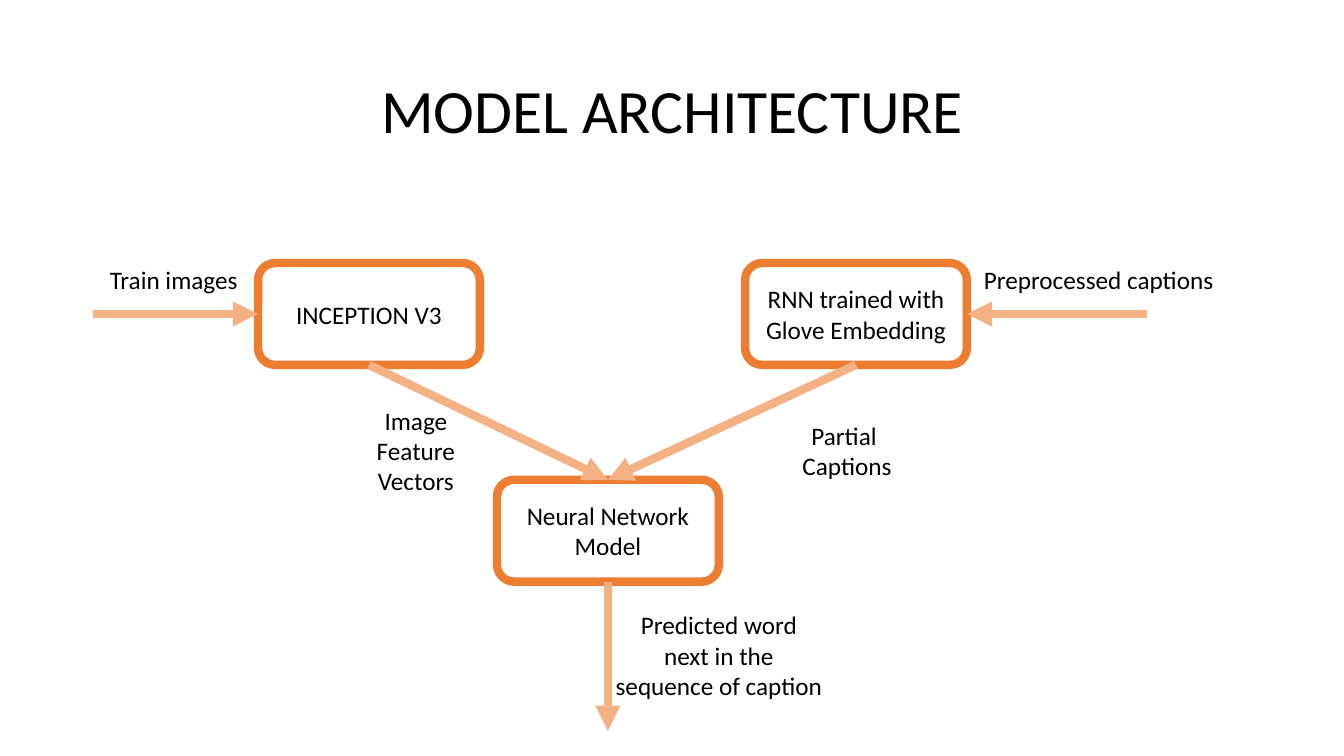
"""Build the model architecture slide: two encoders feeding a neural network."""
from dataclasses import dataclass

from pptx import Presentation
from pptx.dml.color import RGBColor
from pptx.enum.shapes import MSO_CONNECTOR, MSO_SHAPE
from pptx.enum.text import MSO_ANCHOR, MSO_AUTO_SIZE, PP_ALIGN
from pptx.oxml.ns import qn
from pptx.util import Inches, Pt
from lxml.etree import SubElement

WIDTH, HEIGHT = Inches(13.33), Inches(7.5)
NODE_WIDTH, NODE_HEIGHT = 16.5, 13.47
ENCODER_TOP, NETWORK_TOP = 34.8, 63.47
INPUT_LABEL_TOP, LINE_HEIGHT, LABEL_PADDING = 34.27, 4.07, 1.26
TOP, LEFT, BOTTOM, RIGHT = range(4)


@dataclass(frozen=True)
class Theme:
    font: str = "Calibri"
    title_size: Pt = Pt(44)
    body_size: Pt = Pt(18)
    stroke: Pt = Pt(6)
    ink: RGBColor = RGBColor(0x00, 0x00, 0x00)
    paper: RGBColor = RGBColor(0xFF, 0xFF, 0xFF)
    border: RGBColor = RGBColor(0xED, 0x7D, 0x31)
    flow: RGBColor = RGBColor(0xF4, 0xB1, 0x83)


THEME = Theme()


def across(percent):
    """Return a share of the slide's width."""
    return round(WIDTH * percent / 100)


def down(percent):
    """Return a share of the slide's height."""
    return round(HEIGHT * percent / 100)


def frame(left, top, width, height):
    """Return a box given in percent of the slide as lengths."""
    return across(left), down(top), across(width), down(height)


def write(text_frame, text, size, align=PP_ALIGN.CENTER):
    """Fill a text frame, one paragraph a line, in the theme's type."""
    text_frame.text = text
    for paragraph in text_frame.paragraphs:
        paragraph.alignment = align
        paragraph.font.name = THEME.font
        paragraph.font.size = size
        paragraph.font.color.rgb = THEME.ink


def set_title(slide, text):
    """Place and format the title placeholder."""
    title = slide.shapes.title
    title.left, title.top, title.width, title.height = frame(6.9, 5.33, 86.27, 19.33)
    title.text_frame.vertical_anchor = MSO_ANCHOR.MIDDLE
    write(title.text_frame, text, THEME.title_size)
    title.text_frame.paragraphs[0].line_spacing = 0.9


def add_node(slide, text, left, top):
    """Add an outlined rounded box of the model."""
    node = slide.shapes.add_shape(
        MSO_SHAPE.ROUNDED_RECTANGLE, *frame(left, top, NODE_WIDTH, NODE_HEIGHT))
    node.shadow.inherit = False
    node.fill.solid()
    node.fill.fore_color.rgb = THEME.paper
    node.line.color.rgb = THEME.border
    node.line.width = THEME.stroke
    node.text_frame.word_wrap = True
    node.text_frame.vertical_anchor = MSO_ANCHOR.MIDDLE
    write(node.text_frame, text, THEME.body_size)
    return node


def add_flow(slide, source=None, target=None, start=(0, 0), end=(0, 0)):
    """Add an arrow between node sites, or free points given in percent."""
    flow = slide.shapes.add_connector(
        MSO_CONNECTOR.STRAIGHT, across(start[0]), down(start[1]), across(end[0]), down(end[1]))
    if source:
        flow.begin_connect(*source)
    if target:
        flow.end_connect(*target)
    flow.line.color.rgb = THEME.flow
    flow.line.width = THEME.stroke
    SubElement(flow.line._get_or_add_ln(), qn("a:tailEnd"), type="triangle")
    SubElement(flow._element.spPr, qn("a:effectLst"))


def add_label(slide, text, left, top, width, align=PP_ALIGN.CENTER):
    """Add an unwrapped label whose height follows its number of lines."""
    height = LABEL_PADDING + LINE_HEIGHT * len(text.splitlines())
    label = slide.shapes.add_textbox(*frame(left, top, width, height))
    label.text_frame.word_wrap = False
    label.text_frame.auto_size = MSO_AUTO_SIZE.SHAPE_TO_FIT_TEXT
    write(label.text_frame, text, THEME.body_size, align)


def main():
    """Compose and save the slide."""
    deck = Presentation()
    deck.slide_width, deck.slide_height = WIDTH, HEIGHT
    slide = deck.slides.add_slide(deck.slide_layouts.get_by_name("Title Only"))
    set_title(slide, "MODEL ARCHITECTURE")

    inception = add_node(slide, "INCEPTION V3", 19.2, ENCODER_TOP)
    rnn = add_node(slide, "RNN trained with Glove Embedding", 55.44, ENCODER_TOP)
    network = add_node(slide, "Neural Network Model", 36.98, NETWORK_TOP)

    encoder_middle = ENCODER_TOP + NODE_HEIGHT / 2
    network_centre = 36.98 + NODE_WIDTH / 2
    add_flow(slide, target=(inception, LEFT), start=(6.9, encoder_middle))
    add_flow(slide, target=(rnn, RIGHT), start=(85.37, encoder_middle))
    for encoder in (inception, rnn):
        add_flow(slide, source=(encoder, BOTTOM), target=(network, TOP))
    add_flow(slide, source=(network, BOTTOM), end=(network_centre, 96.67))

    add_label(slide, "Train images", 7.43, INPUT_LABEL_TOP, 11.1, PP_ALIGN.LEFT)
    add_label(slide, "Preprocessed captions", 72.47, INPUT_LABEL_TOP, 18.75, PP_ALIGN.LEFT)
    add_label(slide, "Image\nFeature\nVectors", 27.23, 52.93, 7.43)
    add_label(slide, "Partial \nCaptions", 58.89, 54.93, 8.25)
    add_label(slide, "Predicted word\nnext in the\nsequence of caption", 44.94, 80, 17.1)
    deck.save("out.pptx")


if __name__ == "__main__":
    main()
